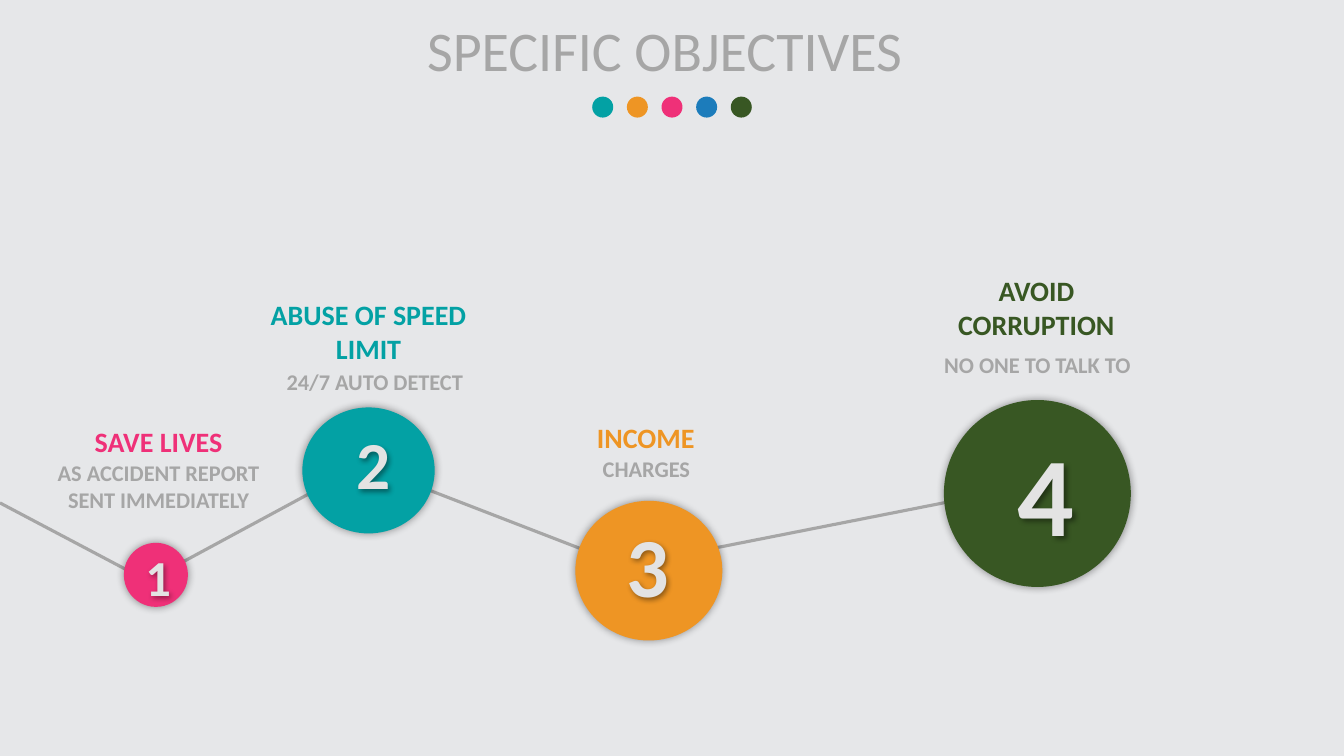
import pptx
import pptx.dml.color
import pptx.enum.shapes
import pptx.enum.text
import pptx.oxml.ns
import pptx.util
from lxml import etree

PX = 9525
FONT = "Calibri"
GREY, PALE = "A6A6A6", "E3E3E3"
TEAL, AMBER, PINK, BLUE, GREEN = "03A1A4", "EE9524", "EF3078", "1C7CBB", "385723"
DOTS = [TEAL, AMBER, PINK, BLUE, GREEN]
WIDE = 224

LINES = [
    (142, 554, 0, 479),
    (564, 545, 944, 470),
    (593, 538, 373, 453),
    (156, 545, 343, 444),
]

GOALS = [
    (PINK, (118, 517, 61, 61), (129, 515, 40, 68), 36,
     "SAVE LIVES", (39, 400, WIDE, 42),
     "AS ACCIDENT REPORT SENT IMMEDIATELY", (39, 433, WIDE, 61)),
    (TEAL, (288, 388, 126, 120), (330, 398, 40, 87), 48,
     "ABUSE OF SPEED LIMIT", (239, 279, WIDE, 74),
     "24/7 AUTO DETECT", (245, 346, WIDE, 36)),
    (AMBER, (548, 477, 140, 133), (571, 484, 91, 107), 60,
     "INCOME ", (506, 396, WIDE, 42),
     "CHARGES ", (506, 429, WIDE, 36)),
    (GREEN, (899, 381, 178, 178), (960, 400, 40, 139), 80,
     "AVOID CORRUPTION", (875, 256, WIDE, 74),
     "NO ONE TO TALK TO", (876, 330, WIDE, 36)),
]


def emu(box):
    return [n * PX for n in box]


def rgb(code):
    return pptx.dml.color.RGBColor.from_string(code)


def tag(name):
    return pptx.oxml.ns.qn("a:" + name)


def add_glow(shape, blur, dist=0, angle=0):
    shape.shadow.inherit = False
    effect = shape._element.spPr.find(tag("effectLst"))
    outer = etree.SubElement(effect, tag("outerShdw"), blurRad=str(pptx.util.Pt(blur)),
                             dist=str(pptx.util.Pt(dist)), dir=str(angle * 60000),
                             algn="ctr", rotWithShape="0")
    color = etree.SubElement(outer, tag("srgbClr"), val="000000")
    etree.SubElement(color, tag("alpha"), val="40000")


def set_text(shape, text, size, color, bold=True):
    frame = shape.text_frame
    frame.word_wrap = True
    frame.text = text
    line = frame.paragraphs[0]
    line.alignment = pptx.enum.text.PP_ALIGN.CENTER
    font = line.runs[0].font
    font.name = FONT
    font.size = pptx.util.Pt(size)
    font.bold = bold
    font.color.rgb = rgb(color)


def add_title(slide, text):
    title = slide.shapes.title
    title.left, title.top, title.width, title.height = emu((251, 10, 764, 74))
    set_text(title, text, 40, GREY, False)


def add_label(slide, box, text, size, color):
    label = slide.shapes.add_textbox(*emu(box))
    set_text(label, text, size, color)
    return label


def add_disc(slide, box, color):
    disc = slide.shapes.add_shape(pptx.enum.shapes.MSO_SHAPE.OVAL, *emu(box))
    disc.fill.solid()
    disc.fill.fore_color.rgb = rgb(color)
    disc.line.fill.background()
    disc.shadow.inherit = False
    return disc


def add_line(slide, ends):
    line = slide.shapes.add_connector(pptx.enum.shapes.MSO_CONNECTOR.STRAIGHT, *emu(ends))
    line.line.color.rgb = rgb(GREY)
    line.line.width = pptx.util.Pt(2.25)
    etree.SubElement(line._element.spPr, tag("effectLst"))


def add_goal(slide, number, goal):
    color, disc, digit, size, head, top, note, base = goal
    add_glow(add_disc(slide, disc, color), 6)
    add_glow(add_label(slide, digit, str(number), size, PALE), 4, 2, 45)
    add_label(slide, top, head, 20, color)
    add_label(slide, base, note, 16, GREY)


def main():
    deck = pptx.Presentation()
    deck.slide_width, deck.slide_height = emu((1280, 720))
    slide = deck.slides.add_slide(deck.slide_layouts[5])
    slide.background.fill.solid()
    slide.background.fill.fore_color.rgb = rgb("E6E7E9")
    for ends in LINES:
        add_line(slide, ends)
    add_title(slide, "SPECIFIC OBJECTIVES")
    for i, color in enumerate(DOTS):
        add_disc(slide, (564 + 33 * i, 92, 20, 20), color)
    for number, goal in enumerate(GOALS, 1):
        add_goal(slide, number, goal)
    deck.save("out.pptx")


if __name__ == "__main__":
    main()
